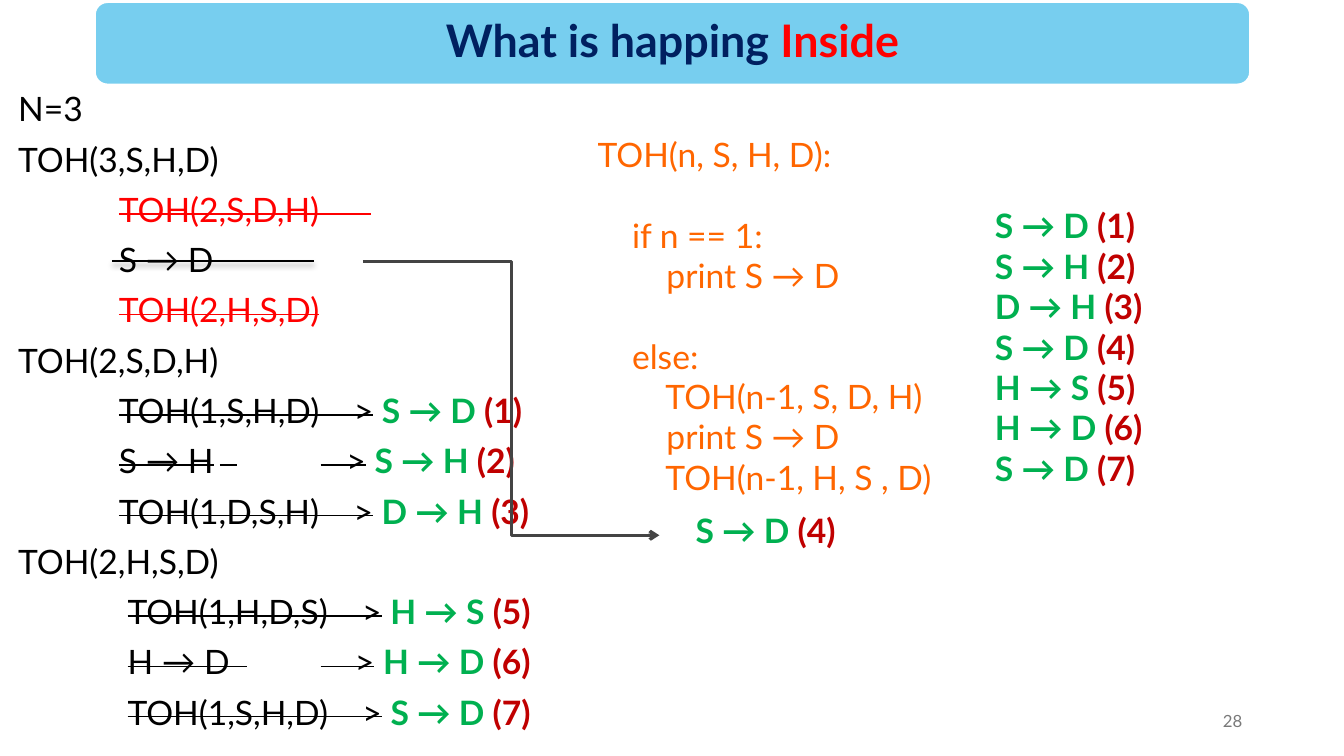
"""Build the slide that traces the Tower of Hanoi recursion for three discs."""
from lxml import etree
from pptx import Presentation
from pptx.dml.color import RGBColor
from pptx.enum.shapes import MSO_CONNECTOR, MSO_SHAPE
from pptx.enum.text import MSO_ANCHOR, MSO_AUTO_SIZE, PP_ALIGN
from pptx.oxml.ns import qn
from pptx.util import Pt

ROUNDED = MSO_SHAPE.ROUNDED_RECTANGLE
STRAIGHT, ELBOW = MSO_CONNECTOR.STRAIGHT, MSO_CONNECTOR.ELBOW
MIDDLE = MSO_ANCHOR.MIDDLE
NO_FIT = MSO_AUTO_SIZE.NONE
LEFT, CENTER, RIGHT = PP_ALIGN.LEFT, PP_ALIGN.CENTER, PP_ALIGN.RIGHT

PX = 9144
FONT = "Lato"
COLORS = {
    "banner": "77CEEF", "white": "FFFFFF", "navy": "002060", "red": "FF0000",
    "black": "000000", "green": "00B050", "crimson": "C00000",
    "orange": "FF6600", "gray": "797979", "arrow": "444444",
}
STYLES = {
    "heading": ("navy", True, False),
    "accent": ("red", True, False),
    "call": ("black", False, False),
    "done": ("black", False, True),
    "expanded": ("red", False, True),
    "move": ("green", True, False),
    "step": ("crimson", True, False),
    "code": ("orange", False, False),
    "page": ("gray", False, False),
}
MOVES = ["S → D", "S → H", "D → H", "S → D", "H → S", "H → D", "S → D"]
CODE = [
    ("TOH(n, S, H, D):", False),
    ("    if n == 1:", True),
    ("        print S → D", False),
    ("    else:", True),
    ("        TOH(n-1, S, D, H)", False),
    ("        print S → D", False),
    ("        TOH(n-1, H, S , D)", False),
]


def rgb(name):
    """Return the named colour."""
    return RGBColor.from_string(COLORS[name])


def place(shape, box):
    """Move a shape to a left, top, width, height box in px."""
    shape.left, shape.top, shape.width, shape.height = (n * PX for n in box)


def write_lines(frame, lines, size=24, align=LEFT):
    """Fill a frame with lines made of (text, style) parts."""
    for index, parts in enumerate(lines):
        paragraph = frame.paragraphs[0] if index == 0 else frame.add_paragraph()
        paragraph.alignment = align
        for text, style in parts:
            color, bold, struck = STYLES[style]
            run = paragraph.add_run()
            run.text = text
            run.font.name, run.font.size, run.font.bold = FONT, Pt(size), bold
            run.font.color.rgb = rgb(color)
            if struck:
                run.font._element.set("strike", "sngStrike")


def add_text(slide, box, lines, size=24, align=LEFT):
    """Add a wrapped text box and return its frame."""
    frame = slide.shapes.add_textbox(*(n * PX for n in box)).text_frame
    frame.word_wrap = True
    write_lines(frame, lines, size, align)
    return frame


def add_line(slide, kind, ends, color, width):
    """Add a connector without a shadow."""
    line = slide.shapes.add_connector(kind, *(n * PX for n in ends))
    line.line.color.rgb = rgb(color)
    line.line.width = Pt(width)
    etree.SubElement(line._element.spPr, qn("a:effectLst"))
    return line


def add_arrowhead(line):
    """Put an open arrowhead on the end of a connector."""
    etree.SubElement(line.line._get_or_add_ln(), qn("a:tailEnd"), type="arrow")


def add_soft_shadow(line):
    """Give a connector a faint shadow below it."""
    effects = line._element.spPr.find(qn("a:effectLst"))
    shadow = etree.SubElement(
        effects, qn("a:outerShdw"), blurRad=str(Pt(4)), dist=str(Pt(3)),
        dir="5400000", rotWithShape="0")
    black = etree.SubElement(shadow, qn("a:srgbClr"), val=COLORS["black"])
    etree.SubElement(black, qn("a:alpha"), val="35000")


def clear_bullet(paragraph):
    """Remove the bullet and space the default tabs one inch apart."""
    props = paragraph._p.get_or_add_pPr()
    props.set("marL", "0")
    props.set("indent", "0")
    props.set("defTabSz", str(100 * PX))
    etree.SubElement(props, qn("a:buNone"))


def move_parts(step):
    """Return the parts that show one numbered move."""
    return [(MOVES[step - 1] + " ", "move"), (f"({step})", "step")]


def traced(call, step, indent="\t"):
    """Return a finished call followed by the move it prints."""
    return [(indent, "call"), (call, "done"), (" ", "call")] + move_parts(step)


def add_title(slide):
    """Fill the title and set its banner behind it."""
    banner = slide.shapes.add_shape(ROUNDED, 92 * PX, 0, 1150 * PX, 86 * PX)
    banner.adjustments[0] = 0.17
    banner.shadow.inherit = False
    banner.fill.solid()
    banner.fill.fore_color.rgb = rgb("banner")
    banner.line.color.rgb = rgb("white")
    banner.line.width = Pt(4.33)
    title = slide.shapes.title
    title._element.addprevious(banner._element)
    place(title, (96, 4, 1142, 78))
    frame = title.text_frame
    frame.auto_size, frame.vertical_anchor = NO_FIT, MIDDLE
    write_lines(frame, [[("What is happing ", "heading"), ("Inside", "accent")]],
                32, CENTER)
    frame.paragraphs[0].line_spacing = 0.9


def add_trace(slide):
    """Fill the body with the trace of the recursive calls."""
    body = slide.placeholders[1]
    place(body, (8, 87, 1318, 663))
    frame = body.text_frame
    frame.auto_size = NO_FIT
    write_lines(frame, [
        [("N=3", "call")],
        [("TOH(3,S,H,D)", "call")],
        [("\t", "call"), ("TOH(2,S,D,H)      ", "expanded")],
        [("\tS → D", "call")],
        [("\t", "call"), ("TOH(2,H,S,D)", "expanded")],
        [("TOH(2,S,D,H)", "call")],
        traced("TOH(1,S,H,D)    >", 1),
        traced("S → H\t  \t   >", 2),
        traced("TOH(1,D,S,H)    >", 3),
        [("TOH(2,H,S,D)", "call")],
        traced("TOH(1,H,D,S)    >", 5, "\t "),
        traced("H → D  \t    >", 6, "\t "),
        traced("TOH(1,S,H,D)    >", 7, "\t "),
    ])
    for index, paragraph in enumerate(frame.paragraphs):
        clear_bullet(paragraph)
        paragraph.line_spacing = 0.9
        paragraph.space_before = Pt(10 if index else 0)


def add_code(slide):
    """Add the recursive function, with a gap before each branch."""
    frame = add_text(slide, (583, 128, 374, 370),
                     [[(text, "code")] for text, _ in CODE])
    for paragraph, (_, starts_branch) in zip(frame.paragraphs, CODE):
        paragraph.space_before = Pt(28.8 if starts_branch else 0)


def main():
    """Build and save the slide."""
    deck = Presentation()
    deck.slide_width, deck.slide_height = 1333 * PX, 750 * PX
    slide = deck.slides.add_slide(deck.slide_layouts[1])
    add_title(slide)
    add_trace(slide)
    page = add_text(slide, (942, 695, 300, 40), [[("28", "page")]], 12, RIGHT)
    page.vertical_anchor = MIDDLE
    add_soft_shadow(add_line(slide, STRAIGHT, (111, 259, 311, 259), "black", 1.5))
    add_arrowhead(add_line(slide, ELBOW, (360, 259, 654, 531), "arrow", 2.25))
    add_text(slide, (680, 501, 182, 61), [move_parts(4)])
    answers = add_text(slide, (977, 203, 264, 328),
                       [move_parts(step) for step in range(1, len(MOVES) + 1)])
    answers.paragraphs[0].line_spacing = 0.9
    add_code(slide)
    deck.save("out.pptx")


if __name__ == "__main__":
    main()
